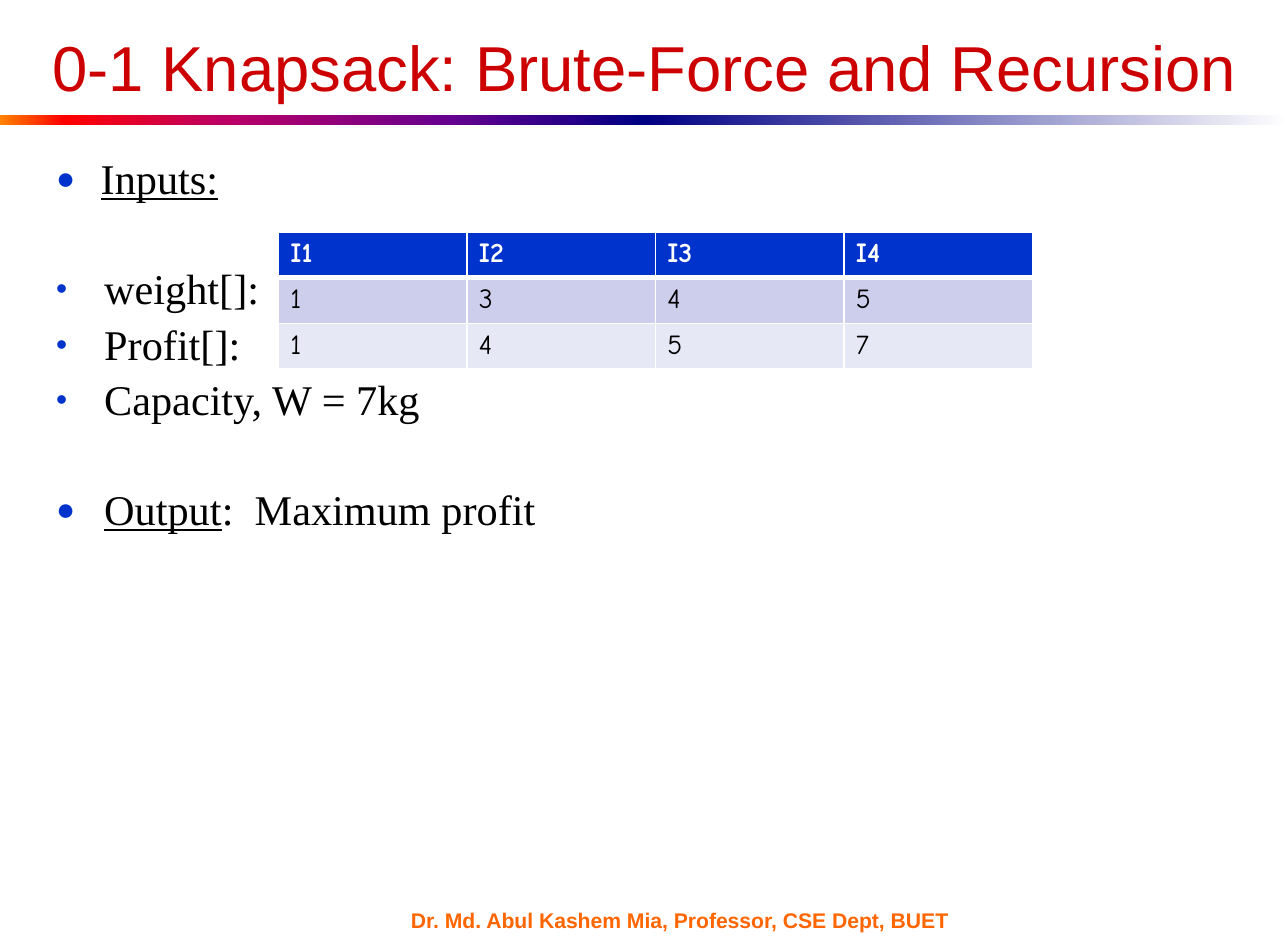
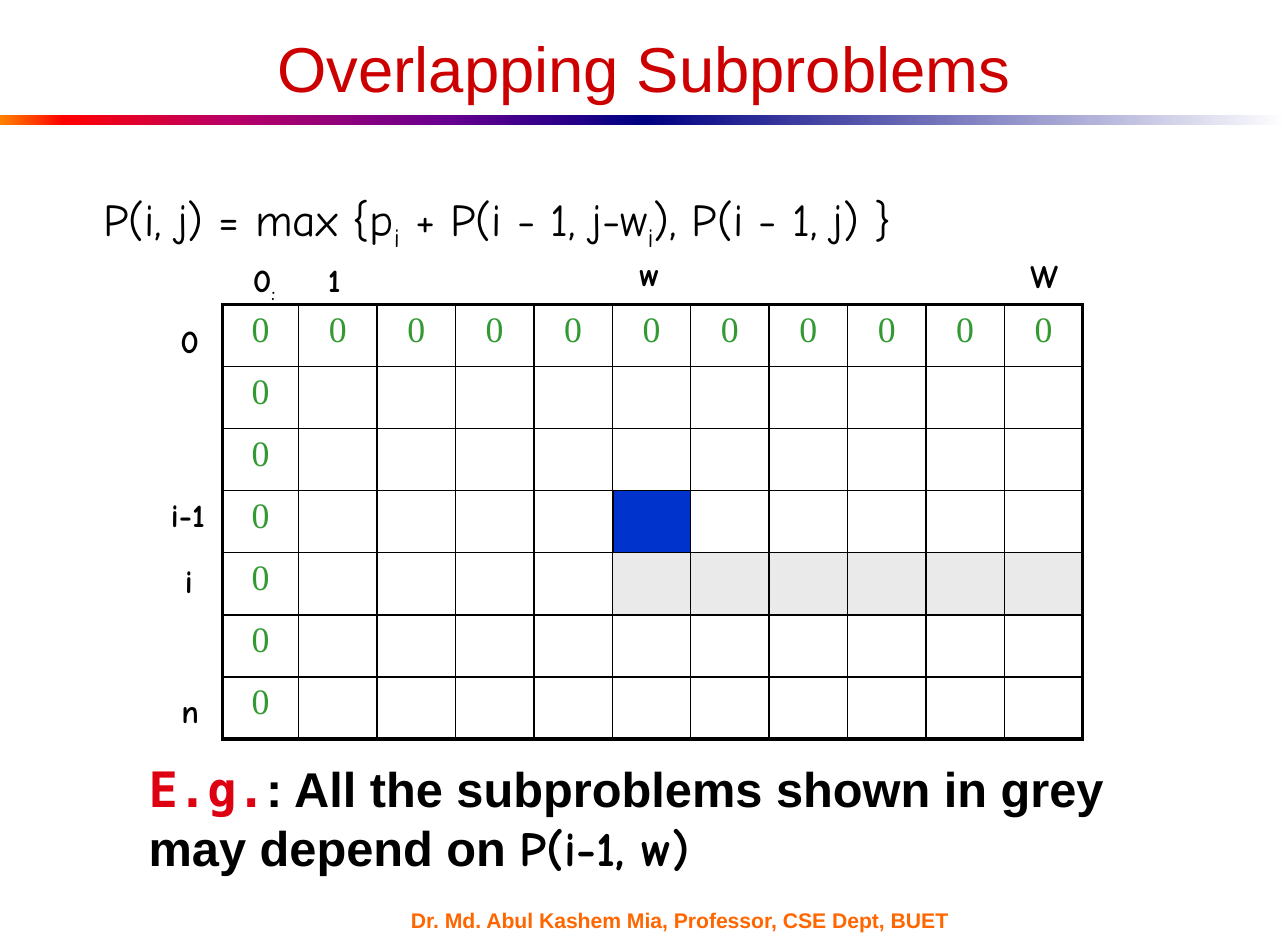
from pptx import Presentation
from pptx.dml.color import RGBColor
from pptx.enum.shapes import MSO_SHAPE
from pptx.enum.text import MSO_ANCHOR, MSO_AUTO_SIZE, PP_ALIGN
from pptx.oxml.ns import qn
from pptx.util import Inches, Pt
from lxml.etree import SubElement

# Colours
BLACK = RGBColor(0x00, 0x00, 0x00)
WHITE = RGBColor(0xFF, 0xFF, 0xFF)
TITLE_RED = RGBColor(0xCC, 0x00, 0x00)
EXAMPLE_RED = RGBColor(0xDD, 0x01, 0x11)
ORANGE = RGBColor(0xFF, 0x66, 0x00)
BLUE = RGBColor(0x00, 0x33, 0xCC)
GREEN = RGBColor(0x33, 0x99, 0x33)
GREY = RGBColor(0xEA, 0xEA, 0xEA)
BAND_DARK = RGBColor(0xCC, 0xCE, 0xEC)
BAND_LIGHT = RGBColor(0xE7, 0xE8, 0xF6)
NAVY = RGBColor(0x00, 0x00, 0x82)
RAINBOW = [(0, RGBColor(0xFF, 0x82, 0x00)), (10, RGBColor(0xFF, 0x00, 0x00)),
           (35, RGBColor(0xBA, 0x00, 0x66)), (70, RGBColor(0x66, 0x00, 0x8F)),
           (100, NAVY)]
FADE = [(0, NAVY), (100, WHITE)]

# Fonts
SANS, SERIF = "Arial", "Times New Roman"
COMIC, MONO = "Comic Neue", "DejaVu Sans Mono"


# Text
def add_run(paragraph, text, size, font, color=BLACK, bold=False,
            underline=False, subscript=False):
    run = paragraph.add_run()
    run.text = text
    run.font.size, run.font.name = Pt(size), font
    run.font.color.rgb = color
    run.font.bold, run.font.underline = bold, underline
    if subscript:
        run.font._element.set("baseline", "-25000")


def prepare_frame(shape, wrap=True, anchor=MSO_ANCHOR.TOP,
                  auto_size=MSO_AUTO_SIZE.NONE):
    frame = shape.text_frame
    frame.word_wrap, frame.vertical_anchor = wrap, anchor
    frame.auto_size = auto_size
    frame.margin_left = frame.margin_right = Inches(0.11)
    frame.margin_top = frame.margin_bottom = Inches(0.05)
    return frame


def add_text_box(slide, box, **frame_options):
    shape = slide.shapes.add_textbox(*map(Inches, box))
    return shape, prepare_frame(shape, **frame_options).paragraphs[0]


def place(shape, box):
    shape.left, shape.top, shape.width, shape.height = map(Inches, box)
    return prepare_frame(shape)


def set_title(slide, text, box):
    frame = place(slide.shapes.title, box)
    frame.margin_top = Inches(0.1)
    frame.paragraphs[0].alignment = PP_ALIGN.CENTER
    add_run(frame.paragraphs[0], text, 39, SANS, TITLE_RED)


def set_indent(paragraph, left, hanging, bullet=None):
    properties = paragraph._p.get_or_add_pPr()
    properties.set("marL", str(Inches(left)))
    properties.set("indent", str(-Inches(hanging)))
    if bullet is None:
        SubElement(properties, qn("a:buNone"))
        return
    color = SubElement(properties, qn("a:buClr"))
    SubElement(color, qn("a:srgbClr"), val=str(BLUE))
    SubElement(properties, qn("a:buSzPct"), val="75000")
    SubElement(properties, qn("a:buChar"), char=bullet)


# Shapes
def add_rectangle(slide, box):
    shape = slide.shapes.add_shape(MSO_SHAPE.RECTANGLE, *map(Inches, box))
    shape.shadow.inherit = False
    return shape


def add_gradient_band(slide, box, stops):
    band = add_rectangle(slide, box)
    band.line.fill.background()
    band.fill.gradient()
    band.fill.gradient_angle = 0
    stop_list = next(band.element.iter(qn("a:gsLst")))
    stop_list.clear()
    for percent, color in stops:
        stop = SubElement(stop_list, qn("a:gs"), pos=str(percent * 1000))
        SubElement(stop, qn("a:srgbClr"), val=str(color))
    return band


def decorate_layout(layout, slide):
    """Draw the shared band and footer, then move them to the layout."""
    footer, paragraph = add_text_box(slide, (3.4, 7.76, 5.13, 0.19),
                                     wrap=False, anchor=MSO_ANCHOR.MIDDLE)
    add_run(paragraph, "Dr. Md. Abul Kashem Mia, Professor, CSE Dept, BUET",
            13, SANS, ORANGE, bold=True)
    for shape in (add_gradient_band(slide, (0, 0.98, 5.5, 0.09), RAINBOW),
                  add_gradient_band(slide, (5.5, 0.98, 5.5, 0.09), FADE),
                  footer):
        layout.shapes.element.append(shape.element)


# Tables
def set_borders(cell, color, left, right, top, bottom):
    properties = cell._tc.get_or_add_tcPr()
    sides = {"lnL": left, "lnR": right, "lnT": top, "lnB": bottom}
    for index, (side, width) in enumerate(sides.items()):
        line = SubElement(properties, qn("a:" + side), w=str(Pt(width)))
        fill = SubElement(line, qn("a:solidFill"))
        SubElement(fill, qn("a:srgbClr"), val=str(color))
        properties.insert(index, line)


def add_plain_table(slide, left, top, column_widths, row_heights):
    table = slide.shapes.add_table(
        len(row_heights), len(column_widths), Inches(left), Inches(top),
        Inches(sum(column_widths)), Inches(sum(row_heights))).table
    table.first_row = table.horz_banding = False
    for column, width in zip(table.columns, column_widths):
        column.width = Inches(width)
    for row, height in zip(table.rows, row_heights):
        row.height = Inches(height)
    return table


def fill_cell(cell, color):
    if color is None:
        cell.fill.background()
    else:
        cell.fill.solid()
        cell.fill.fore_color.rgb = color


def add_item_table(slide):
    rows = [["I1", "I2", "I3", "I4"], ["1", "3", "4", "5"],
            ["1", "4", "5", "7"]]
    fills = [BLUE, BAND_DARK, BAND_LIGHT]
    table = add_plain_table(slide, 2.38, 1.98, [1.61] * 4, [0.39] * 3)
    for r, (values, color) in enumerate(zip(rows, fills)):
        header = r == 0
        for c, value in enumerate(values):
            cell = table.cell(r, c)
            fill_cell(cell, color)
            set_borders(cell, WHITE, 1, 1, 3 if r == 1 else 1,
                        3 if header else 1)
            add_run(cell.text_frame.paragraphs[0], value, 17, COMIC,
                    WHITE if header else BLACK, bold=header)


def add_subproblem_table(slide):
    row_count, column_count = 7, 11
    table = add_plain_table(slide, 1.9, 2.6,
                            [0.65] + [0.67] * (column_count - 1),
                            [0.53] * row_count)
    for r in range(row_count):
        for c in range(column_count):
            cell = table.cell(r, c)
            fill_cell(cell, GREY if r == 4 and c >= 5 else None)
            at_edge = (c == 0, c == column_count - 1,
                       r == 0, r == row_count - 1)
            set_borders(cell, BLACK,
                        *(2.25 if edge else 1 for edge in at_edge))
            if r == 0 or c == 0:
                paragraph = cell.text_frame.paragraphs[0]
                paragraph.alignment = PP_ALIGN.CENTER
                add_run(paragraph, "0", 22, SERIF, GREEN)


# Slides
def build_inputs_slide(slide):
    set_title(slide, "0-1 Knapsack: Brute-Force and Recursion",
              (0.28, 0.14, 10.45, 0.67))
    frame = place(slide.placeholders[1], (0.37, 1.3, 9.9, 4.56))
    # Bullet, indent, space before, underlined part, plain part
    items = [("●", 0.38, 0, "Inputs:", ""),
             ("•", 0.41, 39.4, "", "weight[]:"),
             ("•", 0.41, 6.2, "", "Profit[]:"),
             ("•", 0.41, 6.2, "", "Capacity, W = 7kg"),
             ("●", 0.41, 39.4, "Output", ":  Maximum profit")]
    for index, (bullet, indent, space, underlined, plain) in enumerate(items):
        paragraph = frame.add_paragraph() if index else frame.paragraphs[0]
        set_indent(paragraph, indent, indent, bullet)
        paragraph.line_spacing, paragraph.space_before = 0.9, Pt(space)
        for text, underline in ((underlined, True), (plain, False)):
            if text:
                add_run(paragraph, text, 26, SERIF, underline=underline)
    add_item_table(slide)


def build_subproblems_slide(slide):
    set_title(slide, "Overlapping Subproblems", (0.55, 0.15, 9.9, 0.54))

    # Recurrence
    frame = place(slide.placeholders[1], (0.39, 1.58, 9.9, 0.84))
    formula = frame.paragraphs[0]
    set_indent(formula, 0.38, 0)
    formula.space_before = Pt(0)
    for text, subscript in (("P(i, j) = max {p", False), ("i", True),
                            (" + P(i - 1, j-w", False), ("i", True),
                            ("), P(i - 1, j) }", False)):
        add_run(formula, text, 28, COMIC, subscript=subscript)

    # Grid over its highlighted cell
    highlight = add_rectangle(slide, (5.24, 4.19, 0.66, 0.53))
    highlight.fill.solid()
    highlight.fill.fore_color.rgb = BLUE
    highlight.line.color.rgb = BLACK
    highlight.line.width = Pt(0.75)
    add_subproblem_table(slide)

    # Row and column labels
    for text, left, top, width in (
            ("0", 2.05, 2.17, 0.47), ("1", 2.69, 2.17, 0.39),
            ("w", 5.35, 2.12, 0.41), ("W", 8.69, 2.14, 0.51),
            ("0", 1.43, 2.69, 0.39), ("i-1", 1.35, 4.18, 0.64),
            ("i", 1.47, 4.74, 0.3), ("n", 1.44, 5.85, 0.37)):
        _, label = add_text_box(slide, (left, top, width, 0.44), wrap=False,
                                auto_size=MSO_AUTO_SIZE.SHAPE_TO_FIT_TEXT)
        add_run(label, text, 20, COMIC, bold=True)
        if left == 2.05:
            add_run(label, ":", 20, COMIC, bold=True, subscript=True)

    # Example
    _, example = add_text_box(slide, (1.16, 6.43, 9.16, 1.12))
    add_run(example, "E.g.", 30, MONO, EXAMPLE_RED, bold=True)
    add_run(example, ": All the subproblems shown in grey may depend on ",
            30, SANS, bold=True)
    add_run(example, "P(i-1, w)", 30, COMIC, bold=True)


def main():
    presentation = Presentation()
    presentation.slide_width = Inches(11)
    presentation.slide_height = Inches(8)
    layout = presentation.slide_layouts[1]
    slides = [presentation.slides.add_slide(layout) for _ in range(2)]
    decorate_layout(layout, slides[0])
    build_inputs_slide(slides[0])
    build_subproblems_slide(slides[1])
    presentation.save("out.pptx")


if __name__ == "__main__":
    main()
